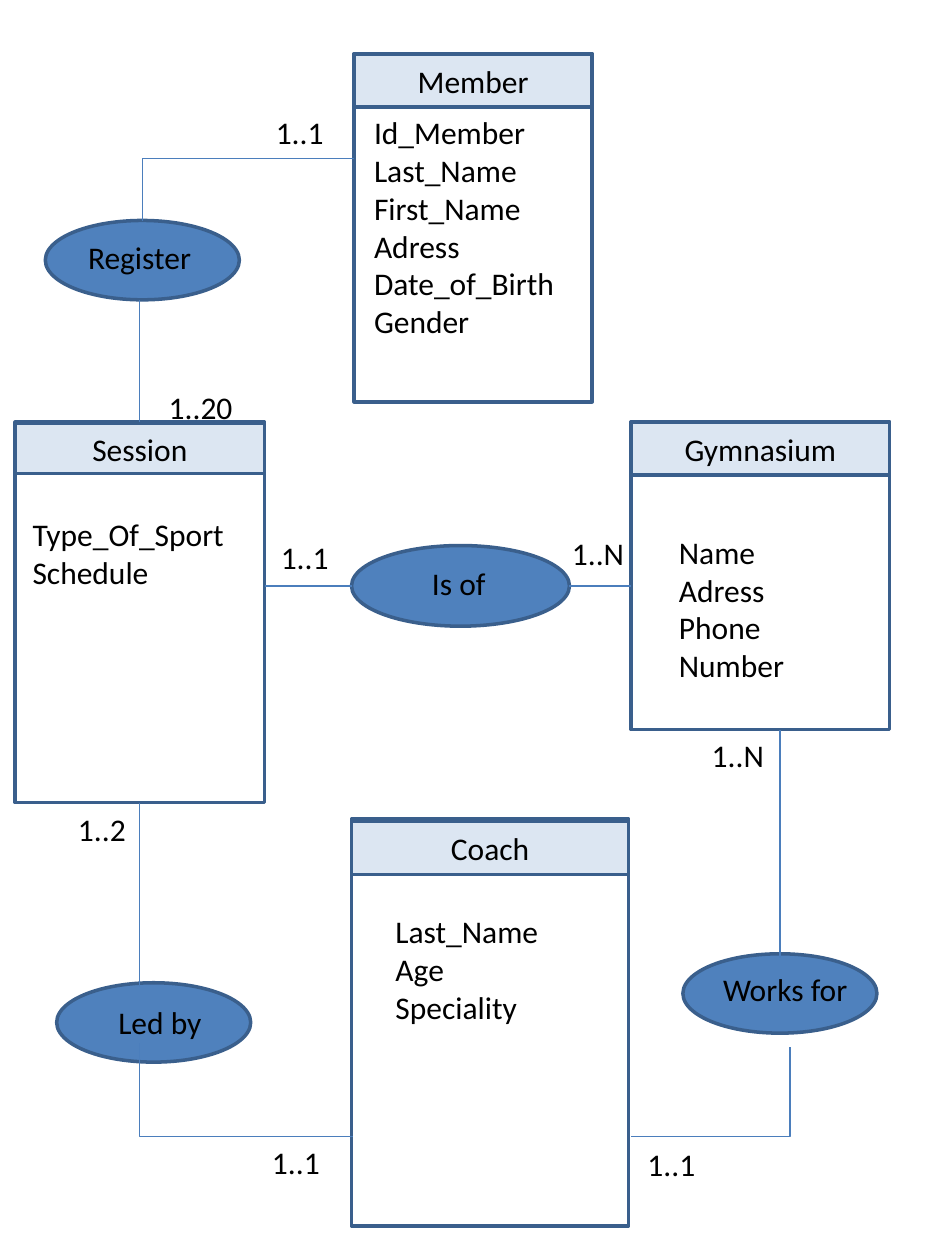
from pptx import Presentation
from pptx.dml.color import RGBColor
from pptx.enum.shapes import MSO_CONNECTOR, MSO_SHAPE
from pptx.enum.text import MSO_ANCHOR, PP_ALIGN
from pptx.oxml.ns import qn
from pptx.util import Inches, Pt
from lxml import etree

BLUE = RGBColor(0x4F, 0x81, 0xBD)
OUTLINE = RGBColor(0x3A, 0x5F, 0x8C)
LINK = RGBColor(0x4B, 0x7E, 0xBC)
HEADER = RGBColor(0xDC, 0xE6, 0xF2)
BLACK = RGBColor(0, 0, 0)

presentation = Presentation()
presentation.slide_width = Inches(7.5)
presentation.slide_height = Inches(10)
slide = presentation.slides.add_slide(presentation.slide_layouts[6])


def add_outlined(kind, left, top, width, height, fill=None):
    """Add an outlined shape, unfilled unless a colour is given."""
    shape = slide.shapes.add_shape(
        kind, Inches(left), Inches(top), Inches(width), Inches(height))
    shape.shadow.inherit = False
    if fill is None:
        shape.fill.background()
    else:
        shape.fill.solid()
        shape.fill.fore_color.rgb = fill
    shape.line.color.rgb = OUTLINE
    shape.line.width = Pt(2)
    return shape


def write_lines(shape, lines, alignment=PP_ALIGN.LEFT):
    """Write one black 18 pt paragraph per line."""
    frame = shape.text_frame
    frame.word_wrap = True
    frame.text = "\n".join(lines)
    for paragraph in frame.paragraphs:
        paragraph.alignment = alignment
        paragraph.font.name = "Calibri"
        paragraph.font.size = Pt(18)
        paragraph.font.color.rgb = BLACK


# Relations: left, top, width, height
relations = [
    (5.42, 7.57, 1.54, 0.63),
    (0.45, 7.8, 1.54, 0.63),
    (2.79, 4.33, 1.73, 0.64),
    (0.36, 1.75, 1.54, 0.63),
]
for box in relations:
    add_outlined(MSO_SHAPE.OVAL, *box, fill=BLUE)

# Entities: name, left, top, width, height, header top, header height
entities = [
    ("Member", 2.81, 0.43, 1.89, 2.76, 0.43, 0.42),
    ("Session", 0.12, 3.35, 1.98, 3.02, 3.36, 0.4),
    ("Gymnasium", 5.01, 3.35, 2.05, 2.44, 3.35, 0.42),
    ("Coach", 2.79, 6.5, 2.2, 3.23, 6.52, 0.42),
]
for name, left, top, width, height, header_top, header_height in entities:
    add_outlined(MSO_SHAPE.RECTANGLE, left, top, width, height)
    header = add_outlined(
        MSO_SHAPE.RECTANGLE, left, header_top, width, header_height, HEADER)
    write_lines(header, [name], PP_ALIGN.CENTER)
    header.text_frame.vertical_anchor = MSO_ANCHOR.MIDDLE

# Links: start x, start y, end x, end y; the bent ones leave the entity sideways
links = [
    (1.11, 3.35, 1.11, 2.38),
    (2.1, 4.65, 2.79, 4.65),
    (4.52, 4.65, 5.01, 4.65),
    (1.11, 6.37, 1.11, 7.83),
    (6.19, 5.79, 6.19, 7.6),
    (2.81, 1.26, 1.13, 1.75),
    (2.8, 9.02, 1.11, 8.28),
    (5.01, 9.02, 6.27, 8.31),
]
for start_x, start_y, end_x, end_y in links:
    bent = start_x != end_x and start_y != end_y
    connector = slide.shapes.add_connector(
        MSO_CONNECTOR.ELBOW if bent else MSO_CONNECTOR.STRAIGHT,
        Inches(start_x), Inches(start_y), Inches(end_x), Inches(end_y))
    connector.line.color.rgb = LINK
    connector.line.width = Pt(0.75)
    properties = connector._element.spPr
    if bent:
        properties.find(qn("a:prstGeom")).set("prst", "bentConnector2")
    etree.SubElement(properties, qn("a:effectLst"))

# Texts: left, top, width, lines
texts = [
    (0.84, 7.91, 1.42, ["Led by"]),
    (5.64, 7.65, 1.42, ["Works for"]),
    (3.33, 4.43, 0.65, ["Is of"]),
    (0.6, 1.84, 1.02, ["Register"]),
    (2.87, 0.85, 1.65, ["Id_Member", "Last_Name", "First_Name", "Adress",
                        "Date_of_Birth", "Gender"]),
    (0.16, 4.04, 1.75, ["Type_Of_Sport", "Schedule"]),
    (3.04, 7.19, 1.65, ["Last_Name", "Age", "Speciality"]),
    (5.29, 4.18, 1.5, ["Name", "Adress", "Phone", "Number"]),
    (1.24, 3.03, 0.75, ["1..20"]),
    (2.09, 0.85, 0.62, ["1..1"]),
    (2.13, 4.22, 0.62, ["1..1"]),
    (4.44, 4.19, 0.62, ["1..N"]),
    (0.52, 6.38, 0.62, ["1..2"]),
    (2.06, 9.02, 0.62, ["1..1"]),
    (5.04, 9.04, 0.62, ["1..1"]),
    (5.55, 5.79, 0.62, ["1..N"]),
]
for left, top, width, lines in texts:
    height = 0.1 + 0.3 * len(lines)
    text_box = slide.shapes.add_textbox(
        Inches(left), Inches(top), Inches(width), Inches(height))
    write_lines(text_box, lines)

presentation.save("out.pptx")
